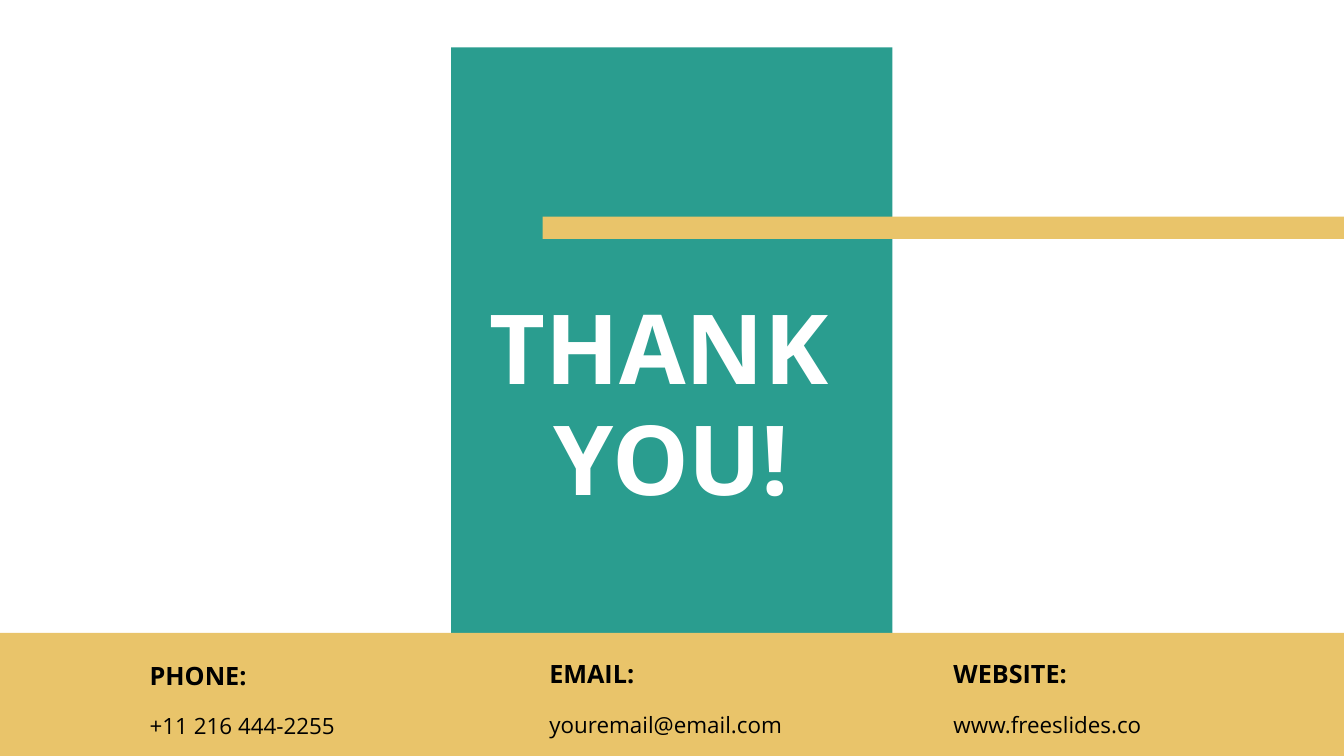
from pptx import Presentation
from pptx.dml.color import RGBColor
from pptx.enum.shapes import MSO_SHAPE
from pptx.enum.text import MSO_AUTO_SIZE, PP_ALIGN
from pptx.util import Inches, Pt

RECT = MSO_SHAPE.RECTANGLE
LEFT, CENTER = PP_ALIGN.LEFT, PP_ALIGN.CENTER
GROW = MSO_AUTO_SIZE.SHAPE_TO_FIT_TEXT

THEME = {
    "font": "Open Sans",
    "teal": "2A9D8F", "gold": "E9C46A", "white": "FFFFFF", "black": "000000",
    "title": 138, "label": 36, "detail": 32,
}
TITLE = ["THANK ", "YOU!"]
CONTACTS = [
    (2.97, 12.84, "PHONE:", "+11 216 444-2255"),
    (10.9, 12.81, "EMAIL:", "youremail@email.com"),
    (18.92, 12.81, "WEBSITE:", "www.freeslides.co"),
]

W, H = 26.67, 15
PANEL_X, PANEL_Y, PANEL_W = 8.95, 0.94, 8.76
FOOTER_Y = 12.56
STRIPE_X, STRIPE_Y, STRIPE_H = 10.77, 4.3, 0.44
TITLE_Y, TITLE_H = 5.89, 4.94
CONTACT_W, CONTACT_H = 6.4, 1.87


def add_block(slide, x, y, w, h, color):
    sp = slide.shapes.add_shape(RECT, Inches(x), Inches(y), Inches(w), Inches(h))
    sp.shadow.inherit = False
    sp.fill.solid()
    sp.fill.fore_color.rgb = RGBColor.from_string(THEME[color])
    sp.line.fill.background()


def add_text(slide, x, y, w, h, lines, color="black", align=LEFT,
             spacing=1.0, gap=0, right=0):
    sp = slide.shapes.add_textbox(Inches(x), Inches(y), Inches(w), Inches(h))
    tf = sp.text_frame
    tf.word_wrap = True
    tf.auto_size = GROW
    tf.margin_left, tf.margin_right = 0, Inches(right)
    tf.margin_top = tf.margin_bottom = Inches(0.08)
    for i, (text, size, bold) in enumerate(lines):
        p = tf.add_paragraph() if i else tf.paragraphs[0]
        p.alignment = align
        p.line_spacing = spacing
        p.space_before = Pt(gap if i else 0)
        r = p.add_run()
        r.text = text
        r.font.name = THEME["font"]
        r.font.size = Pt(THEME[size])
        r.font.bold = bold
        r.font.color.rgb = RGBColor.from_string(THEME[color])


def main():
    prs = Presentation()
    prs.slide_width, prs.slide_height = Inches(W), Inches(H)
    slide = prs.slides.add_slide(prs.slide_layouts[6])

    add_block(slide, PANEL_X, PANEL_Y, PANEL_W, H - PANEL_Y, "teal")
    add_block(slide, 0, FOOTER_Y, W, H - FOOTER_Y, "gold")
    add_block(slide, STRIPE_X, STRIPE_Y, W - STRIPE_X, STRIPE_H, "gold")

    add_text(slide, PANEL_X, TITLE_Y, PANEL_W, TITLE_H,
             [(text, "title", True) for text in TITLE],
             color="white", align=CENTER, spacing=0.9, gap=10)
    for x, y, label, detail in CONTACTS:
        add_text(slide, x, y, CONTACT_W, CONTACT_H,
                 [(label, "label", True), (detail, "detail", False)],
                 spacing=1.3, gap=20, right=0.47)

    prs.save("out.pptx")


if __name__ == "__main__":
    main()
